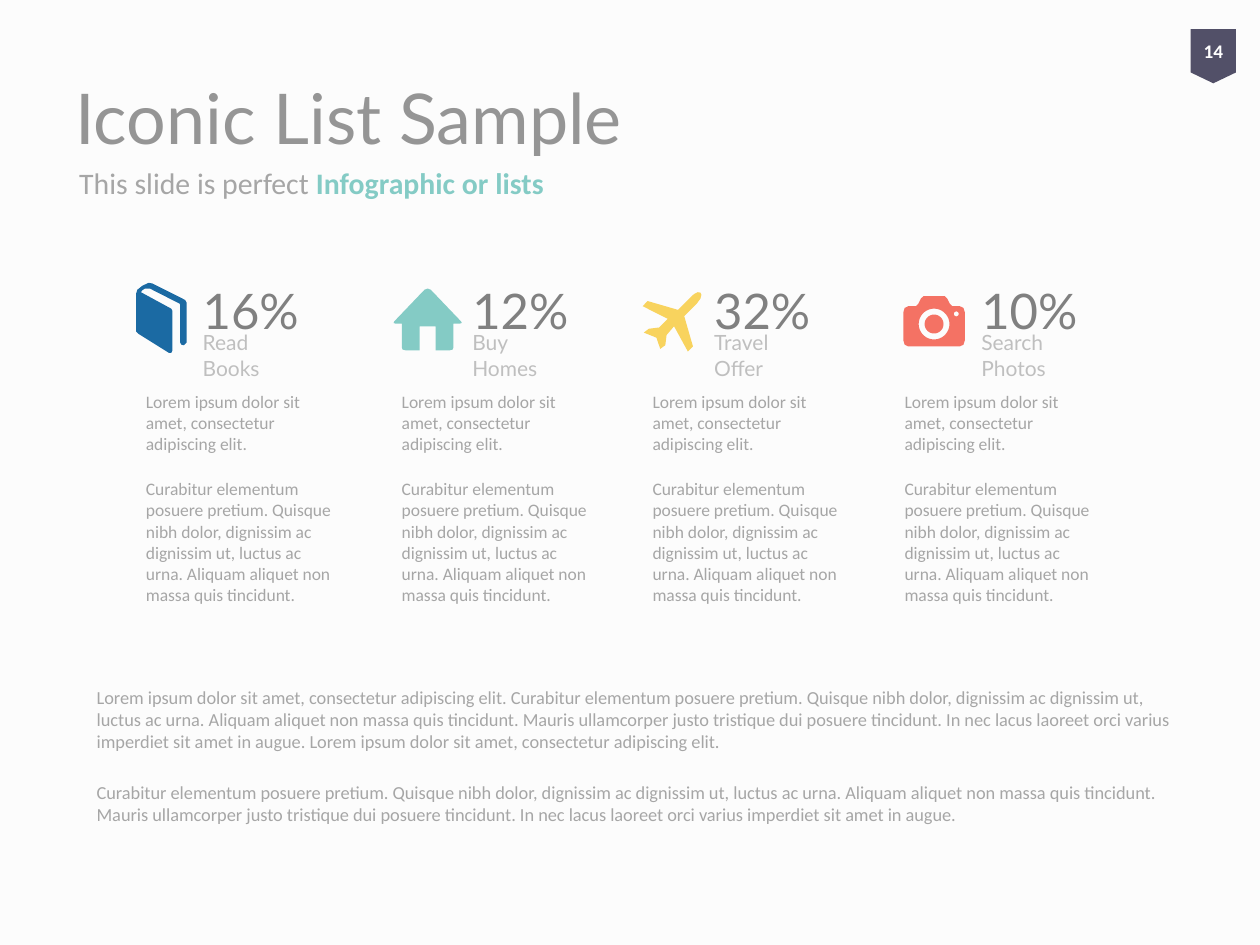
import math
import pptx
import pptx.dml.color
import pptx.enum.shapes
import pptx.enum.text
import pptx.util

Pt = pptx.util.Pt
RGBColor = pptx.dml.color.RGBColor
Anchor = pptx.enum.text.MSO_ANCHOR

BACKGROUND = RGBColor(0xFC, 0xFC, 0xFC)
TITLE_GRAY = RGBColor(0x95, 0x95, 0x95)
TEXT_GRAY = RGBColor(0xA6, 0xA6, 0xA6)
NUMBER_GRAY = RGBColor(0x80, 0x80, 0x80)
CAPTION_GRAY = RGBColor(0xBF, 0xBF, 0xBF)
BLUE = RGBColor(0x1B, 0x6A, 0xA3)
TEAL = RGBColor(0x84, 0xCB, 0xC5)
YELLOW = RGBColor(0xF8, 0xD3, 0x5E)
CORAL = RGBColor(0xF4, 0x72, 0x64)
BADGE = RGBColor(0x52, 0x50, 0x68)
WHITE = RGBColor(0xFF, 0xFF, 0xFF)

LOREM = "Lorem ipsum dolor sit amet, consectetur adipiscing elit."
CURABITUR = (
    "Curabitur elementum posuere pretium. Quisque nibh dolor, dignissim ac "
    "dignissim ut, luctus ac urna. Aliquam aliquet non massa quis tincidunt."
)
MAURIS = (
    "Mauris ullamcorper justo tristique dui posuere tincidunt. "
    "In nec lacus laoreet orci varius imperdiet sit amet in augue."
)


def circle(center_x, center_y, radius, steps=36):
    angles = [2 * math.pi * step / steps for step in range(steps)]
    return [(center_x + radius * math.cos(angle), center_y - radius * math.sin(angle))
            for angle in angles]


def mirrored(points, axis):
    return points + [(2 * axis - x, y) for x, y in reversed(points)]


BOOK = [[
    (105.8, 171.4), (87.1, 162), (85, 161.6), (81.5, 163.2), (78.5, 165.6),
    (77.8, 167.8), (77.8, 189.4), (79.2, 190.8), (96.5, 201.6), (97.9, 201.6),
    (98.6, 200.2), (98.6, 177.8), (97.9, 176.4), (80.6, 167), (81.2, 166),
    (82.8, 164.9), (85.7, 164.9), (102.6, 173.5), (103, 174.2), (103, 195.8),
    (103.7, 197), (105.1, 197.3), (106.6, 195.8), (106.6, 172.8),
]]
HOUSE = [mirrored([
    (244.4, 164.9), (242.6, 165.6), (225.4, 183.6), (224.9, 184.6), (226.1, 185),
    (229.7, 185), (229.7, 198.7), (230.1, 199.8), (231.8, 200.2), (239.8, 200.2),
    (239.8, 186.5),
], 244.4)]
PLANE = [[
    (393.1, 200.9), (396, 198), (391, 180.7), (398.2, 173.5), (400.3, 170.6),
    (400.8, 168.5), (400.3, 167.3), (398.8, 167), (396.7, 168), (394.6, 169.9),
    (387.4, 177.1), (370.1, 172.1), (367.2, 175), (381.6, 182.2), (376.6, 187.2),
    (370.8, 187.9), (367.9, 190.1), (375.1, 193), (377.3, 199.4), (380.2, 197.3),
    (380.9, 191.5), (385.2, 186.5),
]]
CAMERA = [
    mirrored([
        (527.8, 169.2), (526.3, 170.6), (524.9, 173.5), (523.4, 175), (519.1, 175),
        (517, 176), (516.2, 178.6), (516.2, 194.4), (517, 197), (519.1, 198),
    ], 533.8),
    circle(533.8, 185.2, 8.8)[::-1],
    circle(533.8, 185.2, 5.4),
    circle(546.5, 179.4, 1.4)[::-1],
]

FEATURES = [
    ("16%", "Read Books", BOOK, BLUE, 76.3, 108.7, 72.7),
    ("12%", "Buy Homes", HOUSE, TEAL, 222.5, 262.8, 72.7),
    ("32%", "Travel Offer", PLANE, YELLOW, 365.8, 401, 72.7),
    ("10%", "Search Photos", CAMERA, CORAL, 509.8, 553.7, 87.8),
]


class SlideBuilder:
    heading_font = "Lato"
    body_font = "Calibri"

    def __init__(self, slide):
        self.slide = slide
        fill = slide.background.fill
        fill.solid()
        fill.fore_color.rgb = BACKGROUND

    def format_run(self, run, font, size, color, bold=False):
        run.font.name = font
        run.font.size = Pt(size)
        run.font.color.rgb = color
        run.font.bold = bold

    def text(self, box, paragraphs, font, size, color, gap=0, anchor=Anchor.TOP, shapes=None):
        shapes = self.slide.shapes if shapes is None else shapes
        shape = shapes.add_textbox(*map(Pt, box))
        text_frame = shape.text_frame
        text_frame.word_wrap = True
        text_frame.vertical_anchor = anchor
        text_frame.text = "\n".join(paragraphs)
        for index, paragraph in enumerate(text_frame.paragraphs):
            if index:
                paragraph.space_before = Pt(gap)
            self.format_run(paragraph.runs[0], font, size, color)
        return shape

    def paint(self, shape, color):
        shape.shadow.inherit = False
        shape.fill.solid()
        shape.fill.fore_color.rgb = color
        shape.line.fill.background()

    def icon(self, shapes, contours, color):
        builder = None
        for contour in contours:
            points = [(Pt(x), Pt(y)) for x, y in contour]
            if builder is None:
                builder = shapes.build_freeform(*points[0])
            else:
                builder.move_to(*points[0])
            builder.add_line_segments(points[1:], close=True)
        self.paint(builder.convert_to_shape(), color)

    def feature(self, number, caption, contours, color, body_left, label_left, caption_width):
        shapes = self.slide.shapes.add_group_shape().shapes
        self.icon(shapes, contours, color)
        self.text((label_left, 157, 72.7, 36), [number],
                  self.heading_font, 28, NUMBER_GRAY, shapes=shapes)
        self.text((label_left, 185, caption_width, 22.3), [caption],
                  self.heading_font, 12, CAPTION_GRAY, shapes=shapes)
        self.text((body_left, 219.6, 122.4, 178.6), [LOREM, CURABITUR],
                  self.body_font, 10, TEXT_GRAY, gap=14.2)

    def badge(self, box, number):
        kind = pptx.enum.shapes.MSO_SHAPE.FLOWCHART_OFFPAGE_CONNECTOR
        shape = self.slide.shapes.add_shape(kind, *map(Pt, box))
        self.paint(shape, BADGE)
        text_frame = shape.text_frame
        text_frame.margin_left = text_frame.margin_right = Pt(0)
        text_frame.vertical_anchor = Anchor.MIDDLE
        text_frame.text = number
        paragraph = text_frame.paragraphs[0]
        paragraph.alignment = pptx.enum.text.PP_ALIGN.CENTER
        self.format_run(paragraph.runs[0], self.body_font, 11, WHITE, bold=True)


def main():
    presentation = pptx.Presentation()
    presentation.slide_width = Pt(720)
    presentation.slide_height = Pt(540)
    builder = SlideBuilder(presentation.slides.add_slide(presentation.slide_layouts[6]))

    builder.text((36, 21.6, 648, 90), ["Iconic List Sample"],
                 builder.heading_font, 40, TITLE_GRAY, anchor=Anchor.MIDDLE)
    subtitle = builder.text((38.2, 85, 648, 38.2), ["This slide is perfect "],
                            builder.body_font, 17, TEXT_GRAY, anchor=Anchor.MIDDLE)
    highlight = subtitle.text_frame.paragraphs[0].add_run()
    highlight.text = "Infographic or lists"
    builder.format_run(highlight, builder.body_font, 17, TEAL, bold=True)

    for feature in FEATURES:
        builder.feature(*feature)

    builder.text((48.2, 388.8, 629.3, 64),
                 [f"{LOREM} {CURABITUR} {MAURIS} {LOREM}", f"{CURABITUR} {MAURIS}"],
                 builder.body_font, 10.5, TEXT_GRAY, gap=16.5)
    builder.badge((680.4, 16.6, 25.9, 31), "14")

    presentation.save("out.pptx")


if __name__ == "__main__":
    main()
